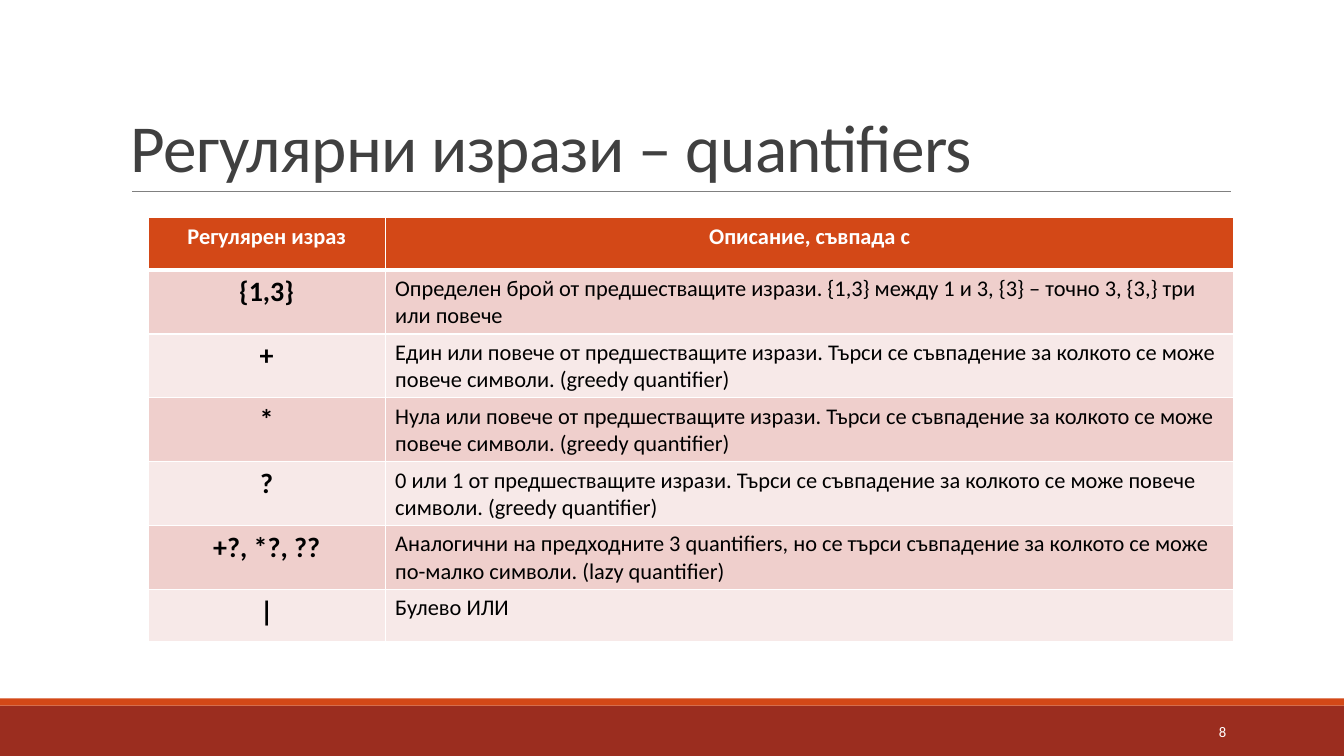
from typing import NamedTuple

from lxml import etree
from pptx import Presentation
from pptx.dml import color
from pptx.enum import shapes, text
from pptx.oxml import ns
from pptx.util import Inches, Pt

FONT = "Calibri"
WHITE, BLACK, GREY = "FFFFFF", "000000", "808080"
ORANGE, BRICK, TITLE_GREY = "D34817", "9B2D1F", "404040"
ROW_BANDS = ("EFCFCC", "F7E9E8")
LEFT, CENTER, RIGHT = (text.PP_ALIGN.LEFT, text.PP_ALIGN.CENTER,
                       text.PP_ALIGN.RIGHT)


class Bar(NamedTuple):
    top: float
    height: float
    fill: str


class Quantifier(NamedTuple):
    expression: str
    description: str


FOOTER_BARS = (Bar(7, 0.5, BRICK), Bar(6.93, 0.07, ORANGE))
HEADER = Quantifier("Регулярен израз", "Описание, съвпада с")
GREEDY = "Търси се съвпадение за колкото се може повече символи. (greedy quantifier)"
QUANTIFIERS = (
    Quantifier("{1,3}", "Определен брой от предшестващите изрази. {1,3} между 1 и 3, "
               "{3} – точно 3, {3,} три или повече"),
    Quantifier("+", f"Един или повече от предшестващите изрази. {GREEDY}"),
    Quantifier("*", f"Нула или повече от предшестващите изрази. {GREEDY}"),
    Quantifier("?", f"0 или 1 от предшестващите изрази. {GREEDY}"),
    Quantifier("+?, *?, ??", "Аналогични на предходните 3 quantifiers, но се търси "
               "съвпадение за колкото се може по-малко символи. (lazy quantifier)"),
    Quantifier("|", "Булево ИЛИ"),
)
COLUMN_WIDTHS = (2.35, 8.42)
ROW_HEIGHT = 0.52


def rgb(value: str) -> color.RGBColor:
    return color.RGBColor.from_string(value)


def write(frame, words: str, *, size: float, fill: str, bold: bool = False,
          align=LEFT, line_spacing: float | None = None,
          tracking: float | None = None) -> None:
    """Put one formatted paragraph into a text frame."""
    paragraph = frame.paragraphs[0]
    paragraph.alignment = align
    if line_spacing is not None:
        paragraph.line_spacing = line_spacing
    run = paragraph.add_run()
    run.text = words
    run.font.name = FONT
    run.font.size = Pt(size)
    run.font.bold = bold
    run.font.color.rgb = rgb(fill)
    if tracking is not None:
        run.font._element.set("spc", str(round(tracking * 100)))


def add_bar(slide, bar: Bar, width: int) -> None:
    band = slide.shapes.add_shape(shapes.MSO_SHAPE.RECTANGLE, 0, Inches(bar.top),
                                  width, Inches(bar.height))
    band.shadow.inherit = False
    band.fill.solid()
    band.fill.fore_color.rgb = rgb(bar.fill)
    band.line.fill.background()


def add_rule(slide, left: float, right: float, top: float) -> None:
    rule = slide.shapes.add_connector(shapes.MSO_CONNECTOR.STRAIGHT, Inches(left),
                                      Inches(top), Inches(right), Inches(top))
    rule.line.color.rgb = rgb(GREY)
    rule.line.width = Pt(0.5)
    etree.SubElement(rule._element.spPr, ns.qn("a:effectLst"))


def add_text(slide, box: tuple[float, float, float, float], words: str,
             anchor, **style) -> None:
    frame = slide.shapes.add_textbox(*map(Inches, box)).text_frame
    frame.word_wrap = True
    frame.vertical_anchor = anchor
    write(frame, words, **style)


def set_borders(cell, top: float, bottom: float) -> None:
    properties = cell._tc.get_or_add_tcPr()
    for side, width in (("L", 1), ("R", 1), ("T", top), ("B", bottom)):
        line = etree.SubElement(properties, ns.qn(f"a:ln{side}"), w=str(Pt(width)))
        solid = etree.SubElement(line, ns.qn("a:solidFill"))
        etree.SubElement(solid, ns.qn("a:srgbClr"), val=WHITE)


def fill_cell(cell, words: str, row: int, **style) -> None:
    # Borders come before the fill in the cell properties
    set_borders(cell, top=3 if row == 1 else 1, bottom=3 if row == 0 else 1)
    cell.fill.solid()
    cell.fill.fore_color.rgb = rgb(ROW_BANDS[(row - 1) % 2] if row else ORANGE)
    write(cell.text_frame, words, **style)


def add_quantifier_table(slide) -> None:
    rows = len(QUANTIFIERS) + 1
    table = slide.shapes.add_table(
        rows, len(COLUMN_WIDTHS), Inches(1.47), Inches(2.16),
        Inches(sum(COLUMN_WIDTHS)), Inches(ROW_HEIGHT * rows)).table
    for column, width in zip(table.columns, COLUMN_WIDTHS):
        column.width = Inches(width)
    for row in table.rows:
        row.height = Inches(ROW_HEIGHT)

    for column, heading in enumerate(HEADER):
        fill_cell(table.cell(0, column), heading, 0, size=16, fill=WHITE,
                  bold=True, align=CENTER)
    for row, quantifier in enumerate(QUANTIFIERS, start=1):
        fill_cell(table.cell(row, 0), quantifier.expression, row, size=20,
                  fill=BLACK, bold=True, align=CENTER)
        fill_cell(table.cell(row, 1), quantifier.description, row, size=16,
                  fill=BLACK)


def main() -> None:
    deck = Presentation()
    deck.slide_width, deck.slide_height = Inches(13.33), Inches(7.5)
    slide = deck.slides.add_slide(deck.slide_layouts[6])

    # Footer bars and the rule under the title
    for bar in FOOTER_BARS:
        add_bar(slide, bar, deck.slide_width)
    add_rule(slide, 1.31, 12.21, 1.9)

    # Title and slide number
    add_text(slide, (1.2, 0.31, 11.32, 1.59), "Регулярни изрази – quantifiers",
             text.MSO_ANCHOR.BOTTOM, size=48, fill=TITLE_GREY,
             line_spacing=0.85, tracking=-0.5)
    add_text(slide, (10.83, 7.06, 1.43, 0.4), "8", text.MSO_ANCHOR.MIDDLE,
             size=10.5, fill=WHITE, align=RIGHT)

    # Table of quantifiers
    add_quantifier_table(slide)

    deck.save("out.pptx")


if __name__ == "__main__":
    main()
